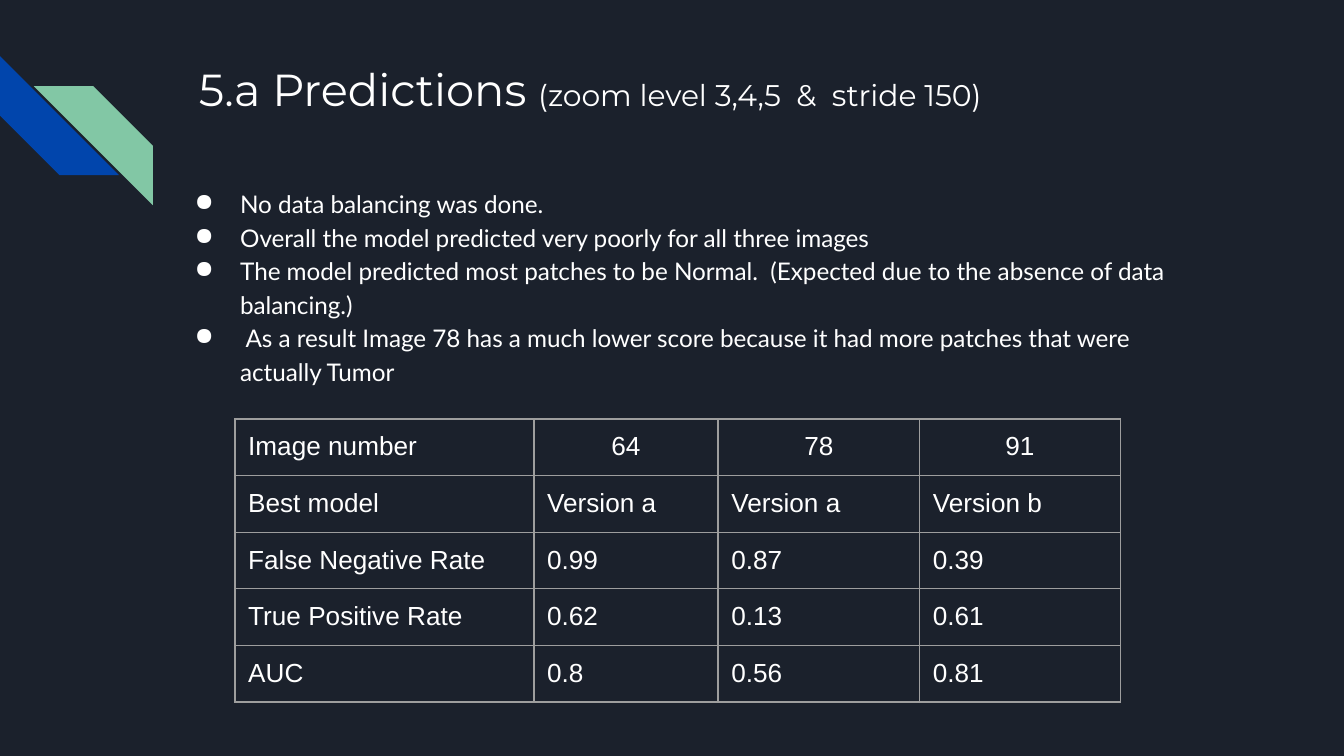
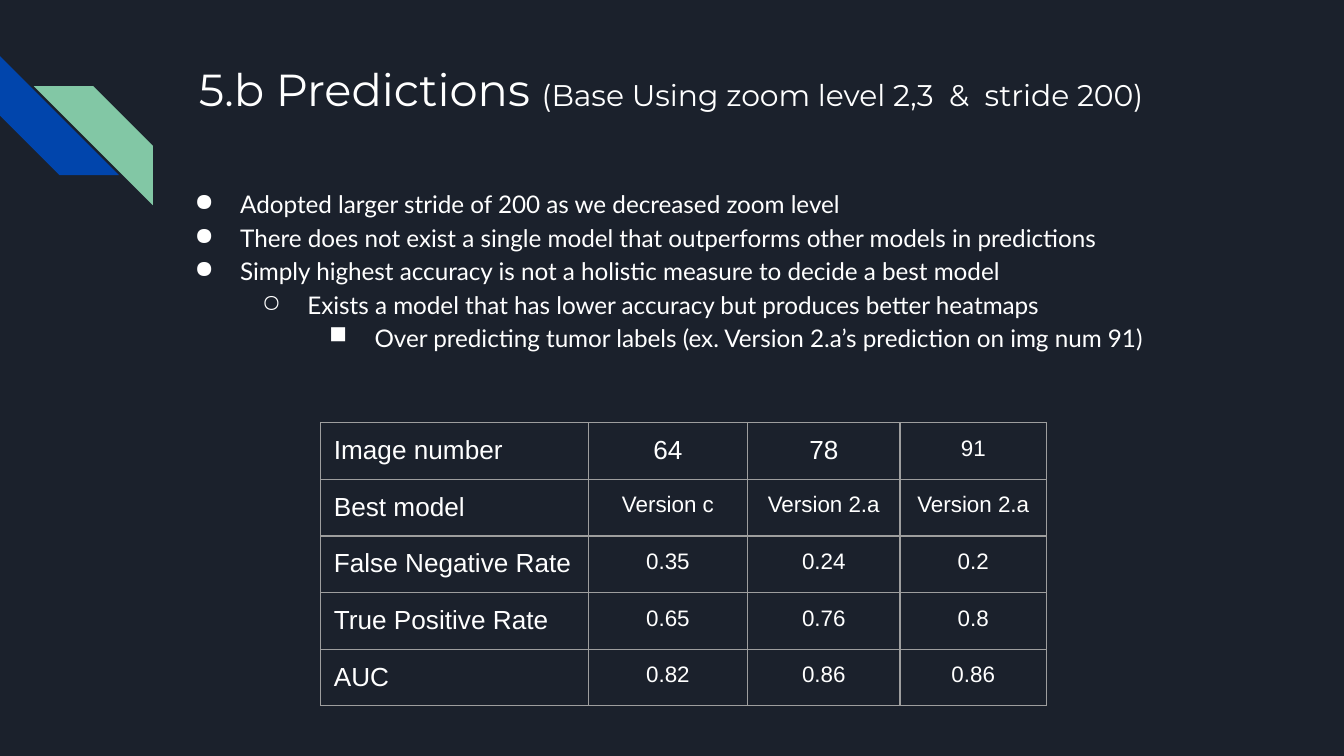
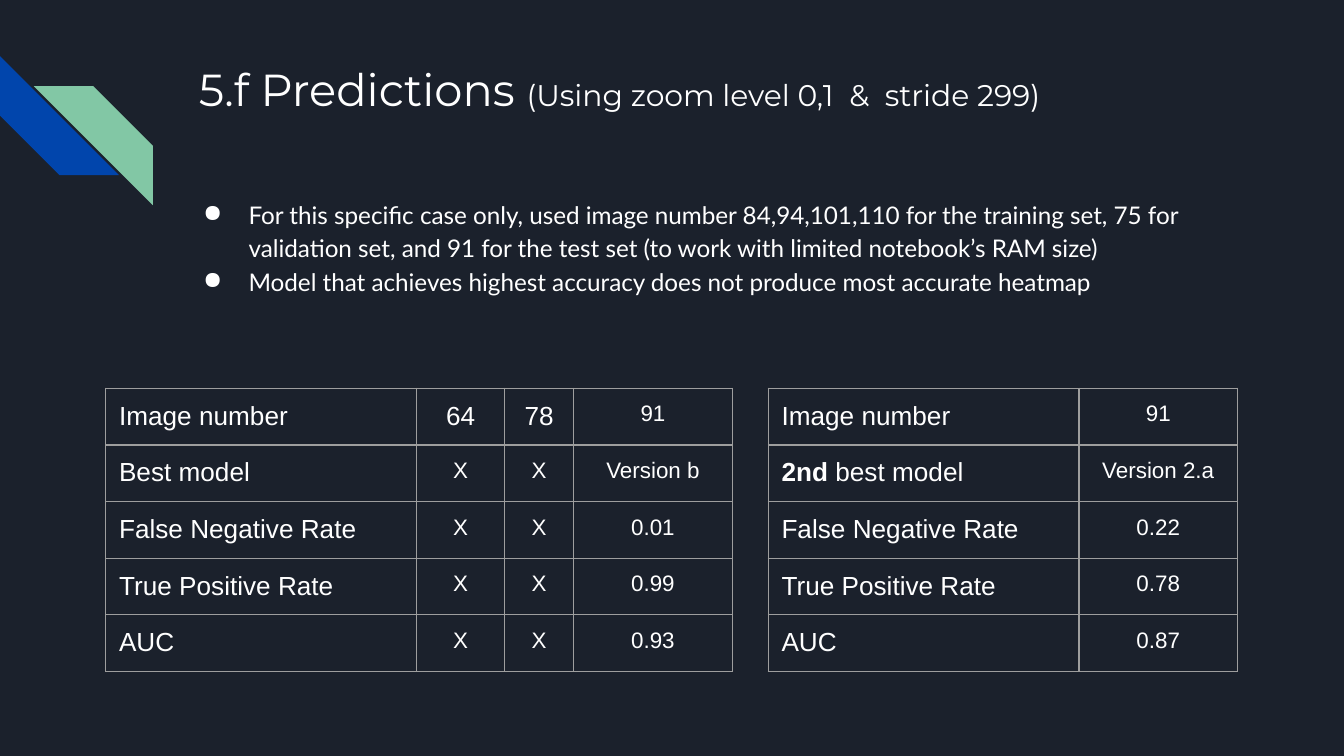
import pptx
import pptx.dml.color
import pptx.enum.shapes
import pptx.enum.text
import pptx.oxml
import pptx.oxml.ns
import pptx.util
from pptx.util import Cm

RGBColor = pptx.dml.color.RGBColor
Align = pptx.enum.text.PP_ALIGN

# Shared style
NAVY = RGBColor(0x1B, 0x21, 0x2C)
BLUE = RGBColor(0x01, 0x45, 0xAC)
GREEN = RGBColor(0x82, 0xC7, 0xA5)
WHITE = RGBColor(0xFF, 0xFF, 0xFF)
GREY = RGBColor(0x9E, 0x9E, 0x9E)
TITLE_FONT, BODY_FONT, TABLE_FONT = "Montserrat", "Lato", "Arial"
INSET = Cm(0.25)
ROW_HEIGHT = 1.07
BULLETS = "●○■"
METRICS = ["False Negative Rate", "True Positive Rate", "AUC"]


def add_xml(parent, xml):
    namespace = pptx.oxml.ns.nsdecls("a")
    parent.append(pptx.oxml.parse_xml(xml.replace(" ", f" {namespace} ", 1)))


class Deck:
    def __init__(self):
        self.presentation = pptx.Presentation()
        self.presentation.slide_width = Cm(25.4)
        self.presentation.slide_height = Cm(14.29)
        fill = self.presentation.slide_master.background.fill
        fill.solid()
        fill.fore_color.rgb = NAVY
        self.slide = None

    def new_slide(self, heading, detail):
        layout = self.presentation.slide_layouts[5]
        self.slide = self.presentation.slides.add_slide(layout)
        self.add_stripe(0, 1.06, BLUE).rotation = 270
        green_stripe = self.add_stripe(0.64, 1.63, GREEN)
        green_stripe._element.spPr.find(pptx.oxml.ns.qn("a:xfrm")).set("flipH", "1")
        self.set_title(heading, detail)

    def add_run(self, paragraph, text, font, size, bold=False):
        run = paragraph.add_run()
        run.text = text
        run.font.name = font
        run.font.size = pptx.util.Pt(size)
        run.font.bold = bold
        run.font.color.rgb = WHITE

    def format_frame(self, frame):
        frame.word_wrap = True
        frame.auto_size = pptx.enum.text.MSO_AUTO_SIZE.NONE
        frame.vertical_anchor = pptx.enum.text.MSO_ANCHOR.TOP
        frame.margin_left = frame.margin_right = INSET
        frame.margin_top = frame.margin_bottom = INSET

    def add_stripe(self, left, top, color):
        stripe = self.slide.shapes.add_shape(
            pptx.enum.shapes.MSO_SHAPE.DIAGONAL_STRIPE,
            Cm(left), Cm(top), Cm(2.25), Cm(2.25))
        stripe.adjustments[0] = 0.5
        stripe.shadow.inherit = False
        stripe.fill.solid()
        stripe.fill.fore_color.rgb = color
        stripe.line.fill.background()
        return stripe

    def set_title(self, heading, detail):
        title = self.slide.shapes.title
        title.left, title.top = Cm(3.51), Cm(0.91)
        title.width, title.height = Cm(19.56), Cm(2.54)
        self.format_frame(title.text_frame)
        paragraph = title.text_frame.paragraphs[0]
        paragraph.alignment = Align.LEFT
        self.add_run(paragraph, heading + " ", TITLE_FONT, 24)
        self.add_run(paragraph, detail, TITLE_FONT, 16)

    def add_bullets(self, items, left=3.02, top=3.25, width=19.56):
        """Each item is a pair of level and text."""
        box = self.slide.shapes.add_textbox(Cm(left), Cm(top), Cm(width), Cm(9.22))
        frame = box.text_frame
        self.format_frame(frame)
        for index, (level, text) in enumerate(items):
            paragraph = frame.add_paragraph() if index else frame.paragraphs[0]
            paragraph.level = level
            paragraph.line_spacing = 1.15
            properties = paragraph._p.get_or_add_pPr()
            properties.set("marL", str(Cm(1.27 * (level + 1))))
            properties.set("indent", str(Cm(-0.86)))
            add_xml(properties, f'<a:buClr ><a:srgbClr val="{WHITE}"/></a:buClr>')
            add_xml(properties, f'<a:buChar char="{BULLETS[level]}"/>')
            self.add_run(paragraph, text, BODY_FONT, 13)

    def add_table(self, left, top, widths, rows, value_size=12, value_align=Align.CENTER):
        """A label given as a pair has its first part in bold."""
        frame = self.slide.shapes.add_table(
            len(rows), len(widths), Cm(left), Cm(top),
            Cm(sum(widths)), Cm(ROW_HEIGHT * len(rows)))
        table = frame.table
        table.first_row = table.horz_banding = False
        for column, width in zip(table.columns, widths):
            column.width = Cm(width)
        last = len(widths) - 1
        for row_index, row in enumerate(rows):
            table.rows[row_index].height = Cm(ROW_HEIGHT)
            for column_index, content in enumerate(row):
                is_label = column_index == 0
                is_header = row_index == 0
                large = is_label or (is_header and column_index < last)
                size = 14 if large else value_size
                cell = table.cell(row_index, column_index)
                self.format_cell(cell)
                paragraph = cell.text_frame.paragraphs[0]
                if is_label:
                    paragraph.alignment = Align.LEFT
                else:
                    paragraph.alignment = Align.CENTER if is_header else value_align
                parts = (content,) if isinstance(content, str) else content
                for part_index, part in enumerate(parts):
                    bold = len(parts) > 1 and part_index == 0
                    self.add_run(paragraph, part, TABLE_FONT, size, bold)

    def format_cell(self, cell):
        cell.margin_left = cell.margin_right = INSET
        cell.margin_top = cell.margin_bottom = INSET
        properties = cell._tc.get_or_add_tcPr()
        for side in "LRTB":
            add_xml(properties, f'<a:ln{side} w="{pptx.util.Pt(0.75)}"><a:solidFill>'
                                f'<a:srgbClr val="{GREY}"/></a:solidFill></a:ln{side}>')
        cell.fill.background()


def metric_rows(model_label, images, models, *values):
    labels = ["Image number", model_label] + METRICS
    return [[label, *row] for label, row in zip(labels, [images, models, *values])]


def main():
    deck = Deck()

    # Zoom levels 3 to 5
    deck.new_slide("5.a Predictions", "(zoom level 3,4,5  &  stride 150)")
    deck.add_bullets([
        (0, "No data balancing was done."),
        (0, "Overall the model predicted very poorly for all three images"),
        (0, "The model predicted most patches to be Normal.  "
            "(Expected due to the absence of data balancing.)"),
        (0, " As a result Image 78 has a much lower score because it had more "
            "patches that were actually Tumor"),
    ])
    deck.add_table(4.44, 7.92, [5.65, 3.48, 3.81, 3.79], metric_rows(
        "Best model", ["64", "78", "91"],
        ["Version a", "Version a", "Version b"],
        ["0.99", "0.87", "0.39"],
        ["0.62", "0.13", "0.61"],
        ["0.8", "0.56", "0.81"]), value_size=14, value_align=Align.LEFT)

    # Zoom levels 2 and 3
    deck.new_slide("5.b Predictions", "(Base Using zoom level 2,3  &  stride 200)")
    deck.add_bullets([
        (0, "Adopted larger stride of 200 as we decreased zoom level"),
        (0, "There does not exist a single model that outperforms other models "
            "in predictions"),
        (0, "Simply highest accuracy is not a holistic measure to decide a best model"),
        (1, "Exists a model that has lower accuracy but produces better heatmaps"),
        (2, "Over predicting tumor labels (ex. Version 2.a’s prediction on img num 91)"),
    ], width=20.52)
    deck.add_table(6.06, 7.99, [5.06, 3.01, 2.88, 2.77], metric_rows(
        "Best model", ["64", "78", "91"],
        ["Version c", "Version 2.a", "Version 2.a"],
        ["0.35", "0.24", "0.2"],
        ["0.65", "0.76", "0.8"],
        ["0.82", "0.86", "0.86"]))

    # Zoom levels 0 and 1
    deck.new_slide("5.f Predictions", "(Using zoom level 0,1  &  stride 299)")
    deck.add_bullets([
        (0, "For this specific case only, used image number 84,94,101,110 for the "
            "training set, 75 for validation set, and 91 for the test set "
            "(to work with limited notebook’s RAM size)"),
        (0, "Model that achieves highest accuracy does not produce most accurate heatmap"),
    ], left=3.18, top=3.45)
    deck.add_table(2, 7.34, [5.87, 1.67, 1.3, 3], metric_rows(
        "Best model", ["64", "78", "91"],
        ["X", "X", "Version b"],
        ["X", "X", "0.01"],
        ["X", "X", "0.99"],
        ["X", "X", "0.93"]))
    deck.add_table(14.52, 7.34, [5.87, 3], metric_rows(
        ("2nd ", "best model"), ["91"], ["Version 2.a"], ["0.22"], ["0.78"], ["0.87"]))

    deck.presentation.save("out.pptx")


if __name__ == "__main__":
    main()
